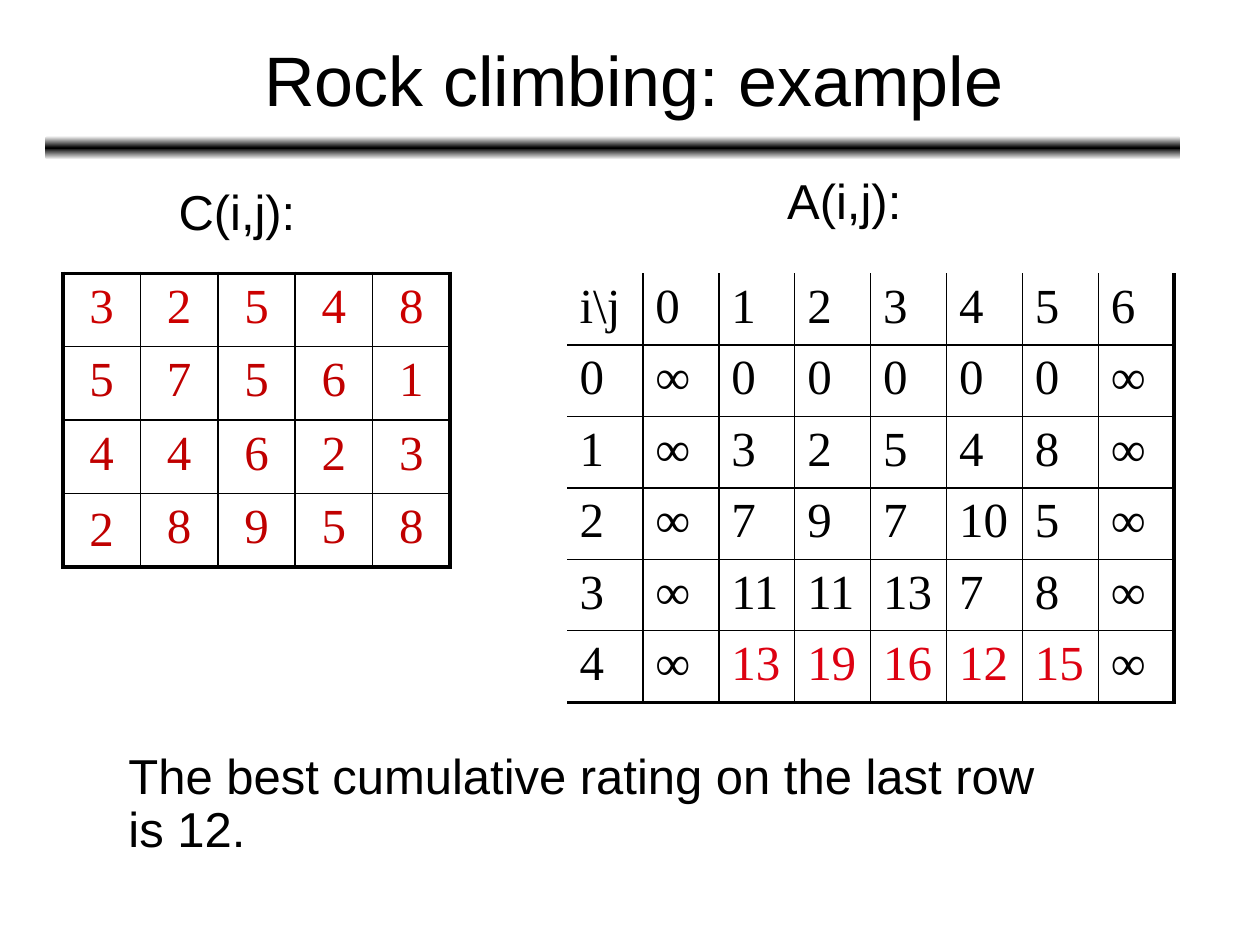
from copy import deepcopy
from dataclasses import dataclass

from lxml.etree import SubElement
from pptx import Presentation
from pptx.dml.color import RGBColor
from pptx.enum.shapes import MSO_SHAPE
from pptx.enum.text import MSO_ANCHOR, PP_ALIGN
from pptx.oxml.ns import qn
from pptx.slide import Slide
from pptx.table import Table, _Cell
from pptx.util import Cm, Pt

BLACK = RGBColor(0x00, 0x00, 0x00)
WHITE = RGBColor(0xFF, 0xFF, 0xFF)
RED = RGBColor(0xCC, 0x00, 0x00)
DARK_RED = RGBColor(0xC0, 0x00, 0x00)
BRIGHT_RED = RGBColor(0xDD, 0x01, 0x11)
SANS = "Arial"
SERIF = "Times New Roman"
THIN, THICK = 1, 2.25


@dataclass
class Label:
    text: str
    left: float
    top: float
    width: float
    wrap: bool = False


@dataclass
class Grid:
    rows: list[str]
    left: float
    top: float
    col_width: float
    row_height: float
    align: PP_ALIGN
    color: RGBColor
    left_top_edge: float


LABELS = [
    Label("C(i,j):", 3.35, 3.66, 2.9),
    Label("A(i,j):", 15.62, 3.45, 2.95),
    Label("The best cumulative rating on the last row is 12.", 2.34, 15.04, 19.53, True),
]
COSTS = Grid(
    ["3 2 5 4 8", "5 7 5 6 1", "4 4 6 2 3", "2 8 9 5 8"],
    1.27, 5.51, 1.56, 1.48, PP_ALIGN.CENTER, DARK_RED, THICK,
)
RATINGS = Grid(
    [
        "i\\j 0 1 2 3 4 5 6",
        "0 ∞ 0 0 0 0 0 ∞",
        "1 ∞ 3 2 5 4 8 ∞",
        "2 ∞ 7 9 7 10 5 ∞",
        "3 ∞ 11 11 13 7 8 ∞",
        "4 ∞ 13 19 16 12 15 ∞",
    ],
    11.43, 5.51, 1.53, 1.44, PP_ALIGN.LEFT, BLACK, 0,
)


def set_borders(cell: _Cell, widths: dict[str, float]) -> None:
    tcPr = cell._tc.get_or_add_tcPr()
    for side, width in widths.items():
        ln = SubElement(tcPr, qn(f"a:ln{side}"), w=str(int(Pt(width))))
        if width:
            fill = SubElement(ln, qn("a:solidFill"))
            SubElement(fill, qn("a:srgbClr"), val=str(BLACK))
        else:
            SubElement(ln, qn("a:noFill"))


def add_grid(s: Slide, grid: Grid) -> Table:
    data = [row.split() for row in grid.rows]
    n_rows, n_cols = len(data), len(data[0])
    table = s.shapes.add_table(
        n_rows, n_cols, Cm(grid.left), Cm(grid.top),
        Cm(grid.col_width * n_cols), Cm(grid.row_height * n_rows),
    ).table
    table.first_row = table.horz_banding = False
    for col in table.columns:
        col.width = Cm(grid.col_width)
    for i, row in enumerate(data):
        table.rows[i].height = Cm(grid.row_height)
        for j, text in enumerate(row):
            cell = table.cell(i, j)
            cell.text = text
            p = cell.text_frame.paragraphs[0]
            p.alignment = grid.align
            p.font.name, p.font.size = SERIF, Pt(28)
            p.font.color.rgb = grid.color
            set_borders(cell, {
                "L": THIN if j else grid.left_top_edge,
                "R": THIN if j < n_cols - 1 else THICK,
                "T": THIN if i else grid.left_top_edge,
                "B": THIN if i < n_rows - 1 else THICK,
            })
            cell.fill.background()
    return table


def color_cells(table: Table, row: int, cols: range, color: RGBColor) -> None:
    for j in cols:
        table.cell(row, j).text_frame.paragraphs[0].font.color.rgb = color


def add_label(s: Slide, label: Label) -> None:
    tf = s.shapes.add_textbox(
        Cm(label.left), Cm(label.top), Cm(label.width), Cm(1.32)
    ).text_frame
    tf.word_wrap = label.wrap
    p = tf.paragraphs[0]
    p.text = label.text
    p.line_spacing = 0.9
    p.font.name, p.font.size = SANS, Pt(28)
    p.font.color.rgb = BLACK


def add_rule(s: Slide) -> None:
    sp = s.shapes.add_shape(
        MSO_SHAPE.ROUNDED_RECTANGLE, Cm(0.91), Cm(2.74), Cm(22.89), Cm(0.48)
    )
    sp.shadow.inherit = False
    sp.line.fill.background()
    sp.fill.gradient()
    sp.fill.gradient_angle = 90
    stops = sp._element.spPr.find(".//" + qn("a:gsLst"))
    stops.append(deepcopy(stops[0]))
    for stop, position, color in zip(
        sp.fill.gradient_stops, (0, 0.5, 1), (WHITE, BLACK, WHITE)
    ):
        stop.position = position
        stop.color.rgb = color


def add_title(s: Slide, text: str) -> None:
    title = s.shapes.title
    title.left, title.top, title.width, title.height = Cm(1.98), Cm(0), Cm(21.59), Cm(3.18)
    tf = title.text_frame
    tf.vertical_anchor = MSO_ANCHOR.MIDDLE
    p = tf.paragraphs[0]
    p.text = text
    p.alignment = PP_ALIGN.CENTER
    p.font.name, p.font.size = SANS, Pt(40)
    p.font.color.rgb = BLACK


def main() -> None:
    prs = Presentation()
    prs.slide_width, prs.slide_height = Cm(25.4), Cm(19.05)
    s = prs.slides.add_slide(prs.slide_layouts[5])
    add_rule(s)
    add_title(s, "Rock climbing: example")
    costs = add_grid(s, COSTS)
    color_cells(costs, 0, range(5), RED)
    costs.cell(3, 0).vertical_anchor = MSO_ANCHOR.MIDDLE
    for label in LABELS:
        add_label(s, label)
    ratings = add_grid(s, RATINGS)
    color_cells(ratings, 5, range(2, 7), BRIGHT_RED)
    prs.save("out.pptx")


if __name__ == "__main__":
    main()
